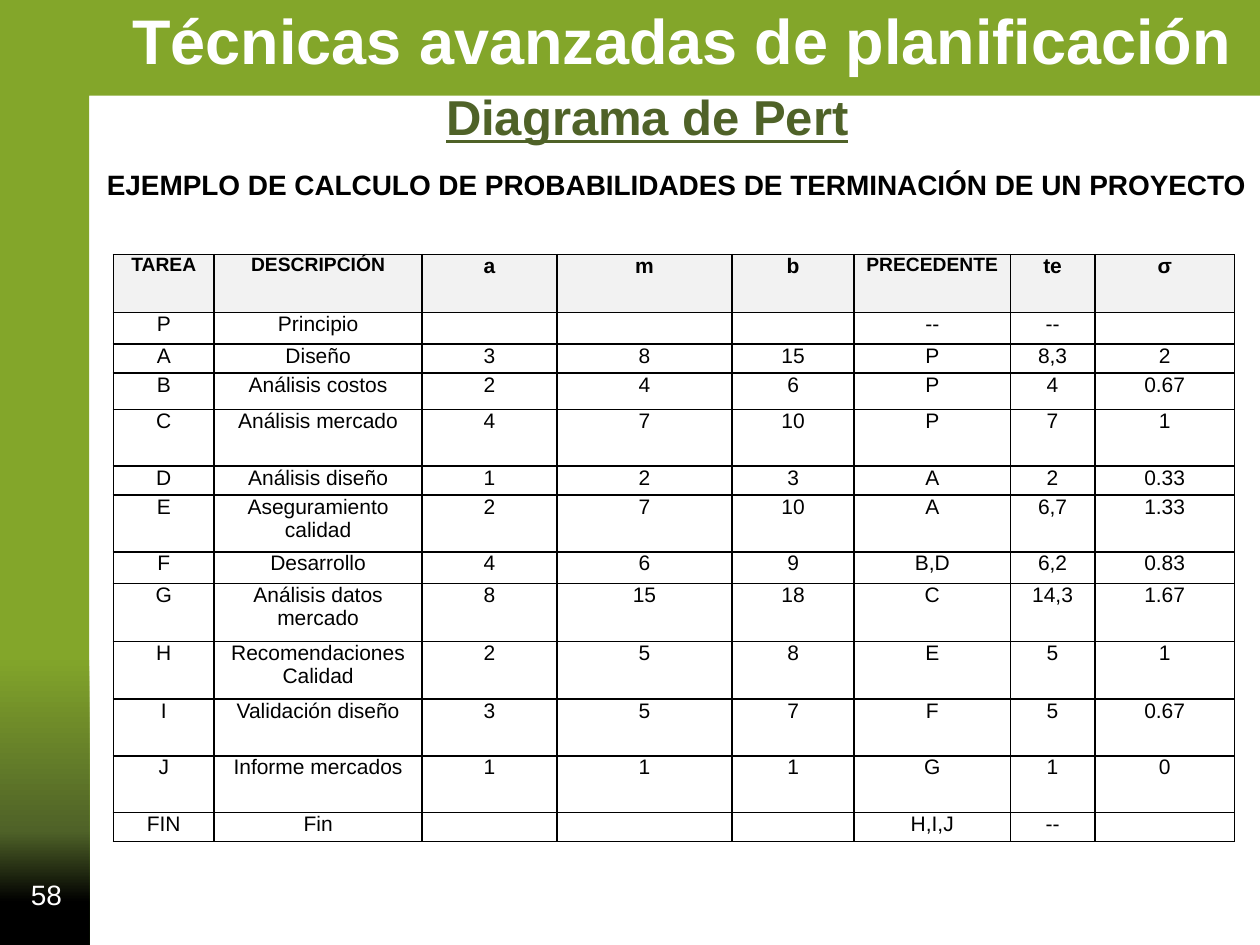
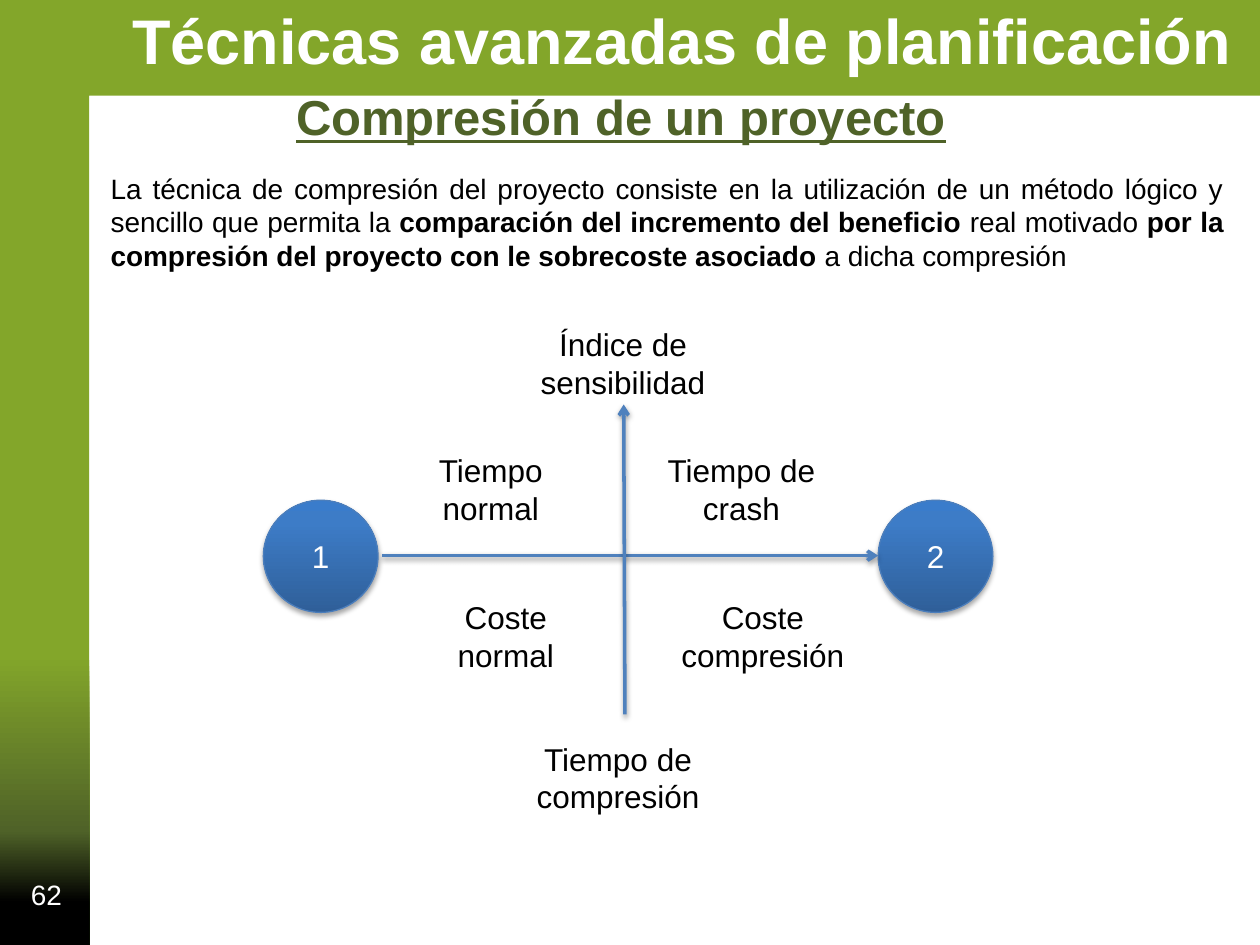
from lxml import etree
from pptx import Presentation
from pptx.dml.color import RGBColor
from pptx.enum.shapes import MSO_CONNECTOR, MSO_SHAPE
from pptx.enum.text import MSO_ANCHOR, MSO_AUTO_SIZE, PP_ALIGN
from pptx.oxml import parse_xml
from pptx.oxml.ns import nsdecls, qn
from pptx.util import Pt

PX = 9144
FONT = "Arial"
TITLE_ONLY = 5
LEFT, CENTER, RIGHT, JUSTIFY = PP_ALIGN.LEFT, PP_ALIGN.CENTER, PP_ALIGN.RIGHT, PP_ALIGN.JUSTIFY
TOP, MIDDLE = MSO_ANCHOR.TOP, MSO_ANCHOR.MIDDLE
FIT_SHAPE = MSO_AUTO_SIZE.SHAPE_TO_FIT_TEXT
CORNER, OVAL = MSO_SHAPE.CORNER, MSO_SHAPE.OVAL
STRAIGHT = MSO_CONNECTOR.STRAIGHT

BLACK = RGBColor(0x00, 0x00, 0x00)
WHITE = RGBColor(0xFF, 0xFF, 0xFF)
GREEN = RGBColor(0x83, 0xA6, 0x2A)
DARK_GREEN = RGBColor(0x4F, 0x62, 0x28)
HEADER_GREY = RGBColor(0xF2, 0xF2, 0xF2)
ARROW_BLUE = RGBColor(0x4F, 0x81, 0xBD)
NODE_LINE = RGBColor(0x4B, 0x7E, 0xBC)
NODE_DARK = RGBColor(0x2F, 0x5F, 0x99)
NODE_MID = RGBColor(0x3D, 0x7C, 0xC7)
NODE_LIGHT = RGBColor(0x3A, 0x7C, 0xCB)

FRAME_STOPS = [(0, BLACK), (9, BLACK), (24, DARK_GREEN), (61, GREEN), (100, GREEN)]
FRAME_SHADE = '<a:path path="rect"><a:fillToRect t="100000" r="100000"/></a:path>'
NODE_STOPS = [(0, NODE_DARK), (80, NODE_MID), (100, NODE_LIGHT)]
NODE_SHADE = '<a:lin ang="16200000" scaled="0"/>'

COLUMN_WIDTHS = [80, 165, 107, 139, 97, 124, 67, 111]
ROW_HEIGHTS = [46, 25, 23, 29, 45, 23, 45, 25, 46, 46, 45, 45, 23]
TASKS = [
    ["TAREA", "DESCRIPCIÓN", "a", "m", "b", "PRECEDENTE", "te", "σ"],
    ["P", "Principio", "", "", "", "--", "--", ""],
    ["A", "Diseño", "3", "8", "15", "P", "8,3", "2"],
    ["B", "Análisis costos", "2", "4", "6", "P", "4", "0.67"],
    ["C", "Análisis mercado", "4", "7", "10", "P", "7", "1"],
    ["D", "Análisis diseño", "1", "2", "3", "A", "2", "0.33"],
    ["E", "Aseguramiento calidad", "2", "7", "10", "A", "6,7", "1.33"],
    ["F", "Desarrollo", "4", "6", "9", "B,D", "6,2", "0.83"],
    ["G", "Análisis datos mercado", "8", "15", "18", "C", "14,3", "1.67"],
    ["H", "Recomendaciones Calidad", "2", "5", "8", "E", "5", "1"],
    ["I", "Validación diseño", "3", "5", "7", "F", "5", "0.67"],
    ["J", "Informe mercados", "1", "1", "1", "G", "1", "0"],
    ["FIN", "Fin", "", "", "", "H,I,J", "--", ""],
]
COMPRESSION_TEXT = [
    ("La técnica de compresión del proyecto consiste en la utilización de un método "
     "lógico y sencillo que permita la ", False),
    ("comparación del incremento del beneficio ", True),
    ("real motivado ", False),
    ("por la compresión del proyecto con le sobrecoste asociado", True),
    (" a dicha compresión", False),
]
AXIS_LABELS = [
    (313, 353, ["Tiempo normal"]),
    (512, 353, ["Tiempo de crash"]),
    (325, 470, ["Coste normal"]),
    (529, 470, ["Coste", "compresión"]),
    (414, 582, ["Tiempo de compresión"]),
    (418, 253, ["Índice de sensibilidad"]),
]


def px(*lengths):
    """Turn px lengths into EMU."""
    return [length * PX for length in lengths]


def style_paragraph(p, size, color, bold=False, align=LEFT):
    """Set the alignment and font of a whole paragraph."""
    p.alignment = align
    p.font.name = FONT
    p.font.size = Pt(size)
    p.font.bold = bold
    p.font.color.rgb = color


def add_text(slide, box, paragraphs, size, color=BLACK, bold=False, align=LEFT,
             anchor=TOP, wrap=True):
    """Add a text box whose paragraphs are lists of (text, bold) runs or strings."""
    tf = slide.shapes.add_textbox(*px(*box)).text_frame
    tf.word_wrap = wrap
    tf.vertical_anchor = anchor
    for i, content in enumerate(paragraphs):
        p = tf.add_paragraph() if i else tf.paragraphs[0]
        style_paragraph(p, size, color, bold, align)
        if isinstance(content, str):
            p.add_run().text = content
            continue
        for text, run_bold in content:
            r = p.add_run()
            r.text = text
            r.font.bold = run_bold


def set_gradient(sp, stops, shade):
    """Fill a shape with a gradient of (percent, colour) stops."""
    gs = "".join(f'<a:gs pos="{pos * 1000}"><a:srgbClr val="{color}"/></a:gs>'
                 for pos, color in stops)
    fill = parse_xml(f'<a:gradFill {nsdecls("a")} rotWithShape="0">'
                     f'<a:gsLst>{gs}</a:gsLst>{shade}</a:gradFill>')
    sp._element.spPr.find(qn("a:prstGeom")).addnext(fill)


def add_shadow(sp, distance, opacity):
    """Cast a soft black shadow straight down."""
    sp._element.spPr.append(parse_xml(
        f'<a:effectLst {nsdecls("a")}><a:outerShdw blurRad="{Pt(3.1)}" '
        f'dist="{Pt(distance)}" dir="5400000" rotWithShape="0"><a:srgbClr val="{BLACK}">'
        f'<a:alpha val="{opacity * 1000}"/></a:srgbClr></a:outerShdw></a:effectLst>'))


def add_frame(slide):
    """Add the green band along the top and left edges, behind everything."""
    sp = slide.shapes.add_shape(CORNER, *px(121, -129, 754, 1004))
    sp.rotation = 90
    sp.adjustments[0], sp.adjustments[1] = 0.099, 0.106
    set_gradient(sp, FRAME_STOPS, FRAME_SHADE)
    sp.line.fill.background()
    sp.shadow.inherit = False
    slide.shapes._spTree.insert(2, sp._element)


def add_slide(prs, title, left, width, number):
    """Add a slide with frame, course heading, title and page number."""
    slide = prs.slides.add_slide(prs.slide_layouts[TITLE_ONLY])
    add_frame(slide)
    add_text(slide, (95, -4, 901, 71), ["Técnicas avanzadas de planificación"], 36,
             WHITE, bold=True, wrap=False)
    sp = slide.shapes.title
    sp.left, sp.top, sp.width, sp.height = px(left, 64, width, 57)
    tf = sp.text_frame
    tf.text = title
    tf.word_wrap = False
    tf.auto_size = FIT_SHAPE
    tf.vertical_anchor = TOP
    style_paragraph(tf.paragraphs[0], 28, DARK_GREEN, bold=True)
    tf.paragraphs[0].font.underline = True
    add_text(slide, (2, 690, 57, 40), [number], 16, WHITE, align=RIGHT, anchor=MIDDLE)
    return slide


def set_borders(cell):
    """Draw a thin black line on each side of a cell."""
    tc_pr = cell._tc.get_or_add_tcPr()
    for side in "LRTB":
        tc_pr.append(parse_xml(
            f'<a:ln{side} {nsdecls("a")} w="{Pt(1)}"><a:solidFill>'
            f'<a:srgbClr val="{BLACK}"/></a:solidFill></a:ln{side}>'))


def fill_cell(cell, text, header):
    """Write and format one table cell."""
    set_borders(cell)
    cell.margin_left = cell.margin_right = 5 * PX
    cell.margin_top = cell.margin_bottom = 0
    if header:
        cell.fill.solid()
        cell.fill.fore_color.rgb = HEADER_GREY
    else:
        cell.fill.background()
    p = cell.text_frame.paragraphs[0]
    size = 11 if header and len(text) > 2 else 12
    style_paragraph(p, size, BLACK, header, CENTER)
    if text:
        p.add_run().text = text
    else:
        etree.SubElement(p._p, qn("a:endParaRPr"), sz=str(size * 100))


def add_task_table(slide):
    """Add the table of tasks with their time estimates."""
    box = px(90, 202, sum(COLUMN_WIDTHS), sum(ROW_HEIGHTS))
    table = slide.shapes.add_table(len(TASKS), len(COLUMN_WIDTHS), *box).table
    table.first_row = table.horz_banding = False
    for column, width in zip(table.columns, COLUMN_WIDTHS):
        column.width = width * PX
    for i, (row, height, texts) in enumerate(zip(table.rows, ROW_HEIGHTS, TASKS)):
        row.height = height * PX
        for cell, text in zip(row.cells, texts):
            fill_cell(cell, text, header=i == 0)


def add_node(slide, left, text):
    """Add a numbered circle of the network."""
    sp = slide.shapes.add_shape(OVAL, *px(left, 397, 91, 89))
    set_gradient(sp, NODE_STOPS, NODE_SHADE)
    sp.line.color.rgb = NODE_LINE
    sp.line.width = Pt(0.75)
    add_shadow(sp, 1.8, 35)
    tf = sp.text_frame
    tf.text = text
    tf.vertical_anchor = MIDDLE
    style_paragraph(tf.paragraphs[0], 18, WHITE, align=CENTER)


def add_arrow(slide, *ends):
    """Add a blue arrow between two points."""
    line = slide.shapes.add_connector(STRAIGHT, *px(*ends))
    line.line.color.rgb = ARROW_BLUE
    line.line.width = Pt(2)
    etree.SubElement(line.line._get_or_add_ln(), qn("a:tailEnd"), type="arrow")
    add_shadow(line, 1.6, 38)


def build_pert_slide(prs):
    """Build the slide with the PERT probability example."""
    slide = add_slide(prs, "Diagrama de Pert", 344, 343, "58")
    add_text(slide, (75, 128, 970, 37),
             ["EJEMPLO DE CALCULO DE PROBABILIDADES DE TERMINACIÓN DE UN PROYECTO"],
             16, bold=True)
    add_task_table(slide)


def build_compression_slide(prs):
    """Build the slide with the project compression diagram."""
    slide = add_slide(prs, "Compresión de un proyecto", 225, 542, "62")
    add_text(slide, (78, 131, 903, 91), [COMPRESSION_TEXT], 16, align=JUSTIFY)
    add_node(slide, 209, "1")
    add_node(slide, 697, "2")
    add_arrow(slide, 303, 441, 697, 441)
    add_arrow(slide, 496, 567, 495, 321)
    for left, top, lines in AXIS_LABELS:
        add_text(slide, (left, top, 153, 71), lines, 18, align=CENTER)


def main():
    """Build and save the presentation."""
    prs = Presentation()
    prs.slide_width, prs.slide_height = px(1000, 750)
    build_pert_slide(prs)
    build_compression_slide(prs)
    prs.save("out.pptx")


if __name__ == "__main__":
    main()
